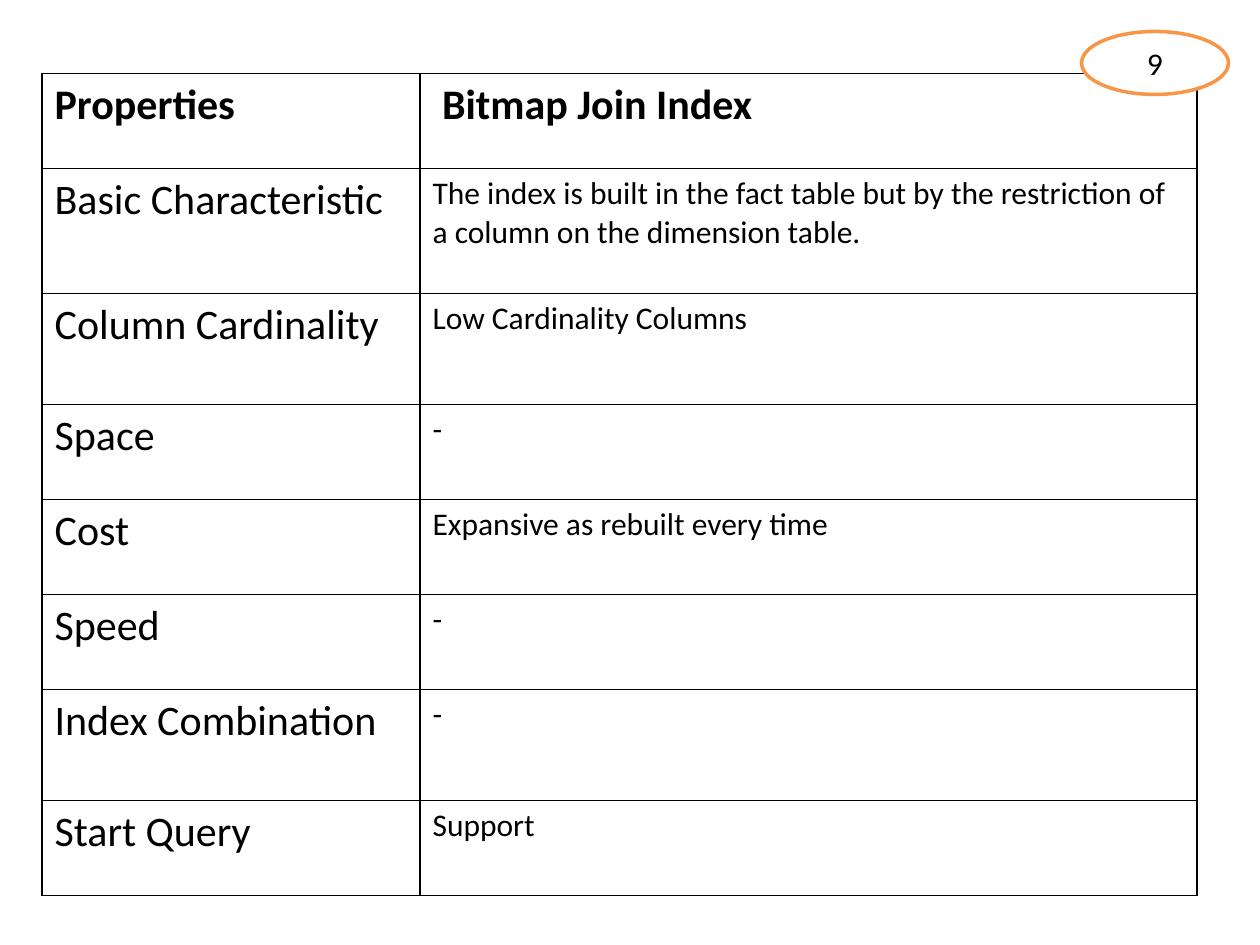
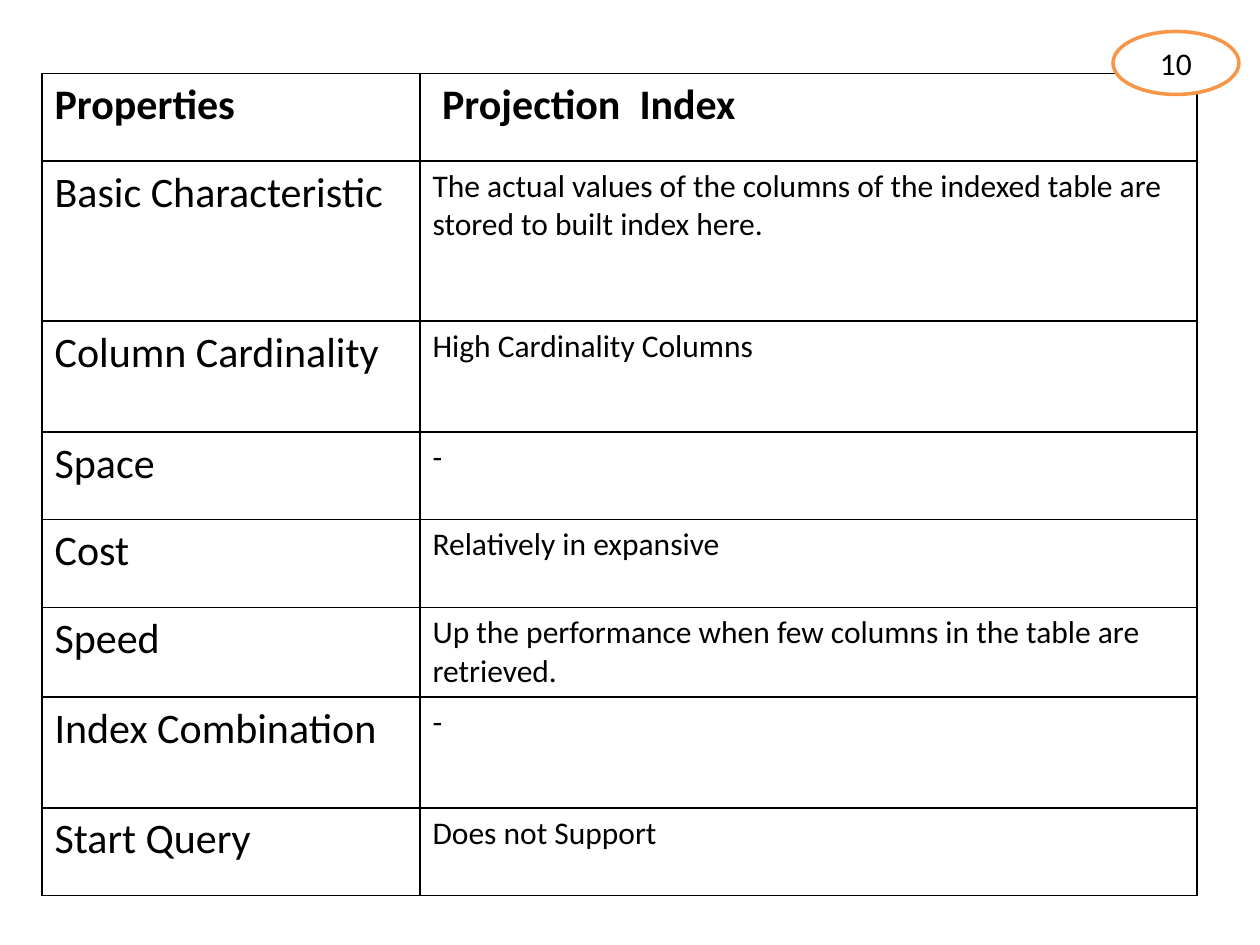
"""Build two slides that tabulate the properties of database indexes."""
from dataclasses import dataclass
from typing import Any

from lxml import etree
from pptx import Presentation
from pptx import util as u
from pptx.dml import color
from pptx.enum import shapes, text
from pptx.oxml import ns


@dataclass(frozen=True)
class Theme:
    font: str = "Calibri"
    ink: str = "000000"
    paper: str = "FFFFFF"
    accent: str = "F79646"
    label_size: float = 24
    value_size: float = 18
    border_width: float = 1
    badge_line: float = 2


@dataclass(frozen=True)
class Badge:
    number: int
    left: float
    width: float
    top: float = 18
    height: float = 36


@dataclass(frozen=True)
class IndexSlide:
    heading: str
    values: tuple[str, ...]
    row_heights: tuple[float, ...]
    badge: Badge


THEME = Theme()
TABLE_LEFT, TABLE_TOP = 24, 42
COLUMN_WIDTHS = (216, 444)
PROPERTIES = (
    "Basic Characteristic", "Column Cardinality", "Space", "Cost",
    "Speed", "Index Combination", "Start Query",
)
INDEX_SLIDES = (
    IndexSlide(
        " Bitmap Join Index",
        (
            "The index is built in the fact table but by the restriction of "
            "a column on the dimension table.",
            "Low Cardinality Columns", "-", "Expansive as rebuilt every time",
            "-", "-", "Support",
        ),
        (54.3, 71.4, 63.4, 54.3, 54.3, 54.3, 63.4, 54.3),
        Badge(9, 618, 84),
    ),
    IndexSlide(
        " Projection  Index",
        (
            "The actual values of the columns of the indexed table are "
            "stored to built index here.",
            "High Cardinality Columns", "-", "Relatively in expansive",
            "Up the performance when few columns in the table are retrieved.",
            "-", "Does not Support",
        ),
        (50.1, 91.4, 63.4, 50.1, 50.1, 51.1, 63.4, 50.1),
        Badge(10, 636, 72),
    ),
)


def write_text(frame: Any, content: str, size: float, bold: bool = False) -> None:
    """Write one run of themed text in the frame's first paragraph."""
    run = frame.paragraphs[0].add_run()
    run.text = content
    for name, value in {"name": THEME.font, "size": u.Pt(size), "bold": bold}.items():
        setattr(run.font, name, value)
    run.font.color.rgb = color.RGBColor.from_string(THEME.ink)


def draw_borders(cell: Any) -> None:
    """Give all four sides of a cell a solid line."""
    properties = cell._tc.get_or_add_tcPr()
    for position, side in enumerate(("lnL", "lnR", "lnT", "lnB")):
        line = etree.Element(ns.qn(f"a:{side}"), w=str(u.Pt(THEME.border_width)))
        fill = etree.SubElement(line, ns.qn("a:solidFill"))
        etree.SubElement(fill, ns.qn("a:srgbClr"), val=THEME.ink)
        properties.insert(position, line)


def draw_table(slide: Any, content: IndexSlide) -> None:
    """Draw the two-column table of properties and values."""
    rows = (("Properties", content.heading), *zip(PROPERTIES, content.values))
    table = slide.shapes.add_table(
        len(rows), len(COLUMN_WIDTHS), u.Pt(TABLE_LEFT), u.Pt(TABLE_TOP),
        u.Pt(sum(COLUMN_WIDTHS)), u.Pt(sum(content.row_heights)),
    ).table
    for name, value in {"first_row": False, "horz_banding": False}.items():
        setattr(table, name, value)
    for column, width in zip(table.columns, COLUMN_WIDTHS):
        column.width = u.Pt(width)
    for row_index, (row, height) in enumerate(zip(rows, content.row_heights)):
        table.rows[row_index].height = u.Pt(height)
        is_header = row_index == 0
        for column_index, entry in enumerate(row):
            cell = table.cell(row_index, column_index)
            cell.fill.background()
            draw_borders(cell)
            is_label = is_header or column_index == 0
            size = THEME.label_size if is_label else THEME.value_size
            write_text(cell.text_frame, entry, size, is_header)


def draw_badge(slide: Any, badge: Badge) -> None:
    """Draw the oval that holds the slide number."""
    bounds = (badge.left, badge.top, badge.width, badge.height)
    shape = slide.shapes.add_shape(shapes.MSO_SHAPE.OVAL, *map(u.Pt, bounds))
    shape.shadow.inherit = False
    shape.fill.solid()
    shape.fill.fore_color.rgb = color.RGBColor.from_string(THEME.paper)
    shape.line.color.rgb = color.RGBColor.from_string(THEME.accent)
    shape.line.width = u.Pt(THEME.badge_line)
    frame = shape.text_frame
    frame.vertical_anchor = text.MSO_ANCHOR.MIDDLE
    frame.paragraphs[0].alignment = text.PP_ALIGN.CENTER
    write_text(frame, str(badge.number), THEME.value_size)


def main() -> None:
    """Build and save the presentation."""
    presentation = Presentation()
    presentation.slide_width, presentation.slide_height = u.Pt(720), u.Pt(540)
    for content in INDEX_SLIDES:
        slide = presentation.slides.add_slide(presentation.slide_layouts[6])
        draw_table(slide, content)
        draw_badge(slide, content.badge)
    presentation.save("out.pptx")


if __name__ == "__main__":
    main()
